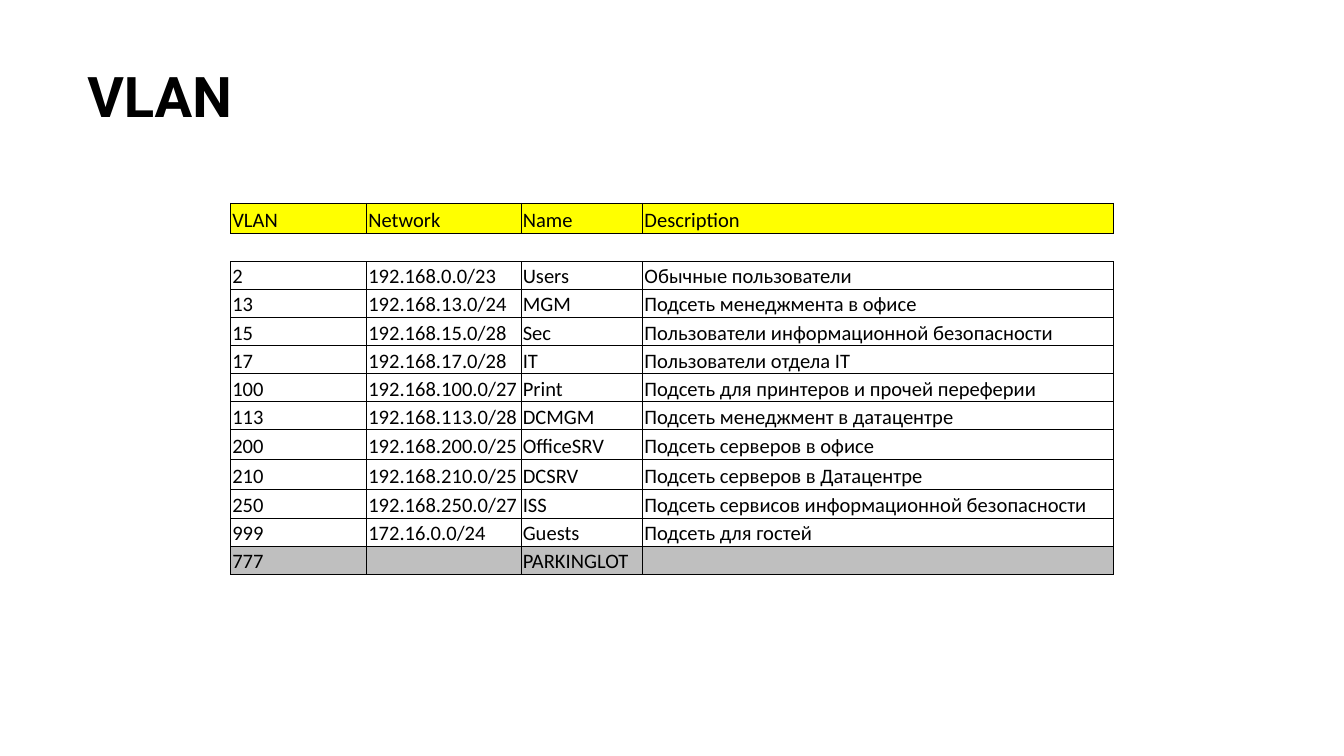
"""Build a slide that lists the VLANs of a network in a table."""
from dataclasses import dataclass

from lxml import etree
from pptx import Presentation
from pptx.dml.color import RGBColor
from pptx.enum.text import MSO_ANCHOR
from pptx.oxml.ns import qn
from pptx.util import Cm, Pt

TOP, BOTTOM = MSO_ANCHOR.TOP, MSO_ANCHOR.BOTTOM


@dataclass(frozen=True)
class Theme:
    ink: str = "000000"
    header: str = "FFFF00"
    parking: str = "BFBFBF"
    title_font: str = "Roboto"
    table_font: str = "Calibri"
    title_size: int = 30
    table_size: int = 11
    border: float = 0.5


def apply_format(target, values):
    for name, value in values.items():
        setattr(target, name, value)


def add_border(cell, side, visible):
    properties = cell._tc.get_or_add_tcPr()
    line = etree.SubElement(properties, qn(f"a:ln{side}"), w=str(Pt(theme.border)))
    if visible:
        fill = etree.SubElement(line, qn("a:solidFill"))
        etree.SubElement(fill, qn("a:srgbClr"), val=theme.ink)
    else:
        etree.SubElement(line, qn("a:noFill"))


theme = Theme()
ink = RGBColor.from_string(theme.ink)

rows = [
    ("VLAN", "Network", "Name", "Description"),
    ("", "", "", ""),
    ("2", "192.168.0.0/23", "Users", "Обычные пользователи"),
    ("13", "192.168.13.0/24", "MGM", "Подсеть менеджмента в офисе"),
    ("15", "192.168.15.0/28", "Sec", "Пользователи информационной безопасности"),
    ("17", "192.168.17.0/28", "IT", "Пользователи отдела IT"),
    ("100", "192.168.100.0/27", "Print", "Подсеть для принтеров и прочей переферии"),
    ("113", "192.168.113.0/28", "DCMGM", "Подсеть менеджмент в датацентре"),
    ("200", "192.168.200.0/25", "OfficeSRV", "Подсеть серверов в офисе"),
    ("210", "192.168.210.0/25", "DCSRV", "Подсеть серверов в Датацентре"),
    ("250", "192.168.250.0/27", "ISS", "Подсеть сервисов информационной безопасности"),
    ("999", "172.16.0.0/24", "Guests", "Подсеть для гостей"),
    ("777", "", "PARKINGLOT", ""),
]
column_widths = [2.57, 2.92, 2.3, 8.89]
row_height = 0.53
tall_rows = {0: 0.57, 8: 0.55, 9: 0.57, 10: 0.55}
row_fills = {0: theme.header, len(rows) - 1: theme.parking}
gap_row = 1

deck = Presentation()
apply_format(deck, {"slide_width": Cm(25.4), "slide_height": Cm(14.28)})
slide = deck.slides.add_slide(deck.slide_layouts[6])

title_box = slide.shapes.add_textbox(Cm(1.4), Cm(0.91), Cm(23.67), Cm(1.68))
title_frame = title_box.text_frame
title_format = {"word_wrap": True, "vertical_anchor": TOP}
title_format.update({f"margin_{side}": Cm(0.25) for side in ("left", "right", "top", "bottom")})
apply_format(title_frame, title_format)
title_span = title_frame.paragraphs[0].add_run()
title_span.text = "VLAN"
apply_format(title_span.font, {"name": theme.title_font, "size": Pt(theme.title_size), "bold": True})
title_span.font.color.rgb = ink

heights = [tall_rows.get(index, row_height) for index in range(len(rows))]
table = slide.shapes.add_table(
    len(rows), len(column_widths), Cm(4.36), Cm(3.84), Cm(sum(column_widths)), Cm(sum(heights))
).table
apply_format(table, {"first_row": False, "horz_banding": False})
for column, width in zip(table.columns, column_widths):
    column.width = Cm(width)

cell_format = {
    "vertical_anchor": BOTTOM,
    "margin_left": Cm(0.03),
    "margin_right": Cm(0.03),
    "margin_top": Cm(0.03),
    "margin_bottom": 0,
}
for row_index, (row, texts) in enumerate(zip(table.rows, rows)):
    row.height = Cm(heights[row_index])
    for cell, text in zip(row.cells, texts):
        apply_format(cell, cell_format)
        for side in "LRTB":
            add_border(cell, side, row_index != gap_row or side in "TB")
        if row_index in row_fills:
            cell.fill.solid()
            cell.fill.fore_color.rgb = RGBColor.from_string(row_fills[row_index])
        else:
            cell.fill.background()
        para = cell.text_frame.paragraphs[0]
        if text:
            span = para.add_run()
            span.text = text
            apply_format(span.font, {"name": theme.table_font, "size": Pt(theme.table_size)})
            span.font.color.rgb = ink
        else:
            etree.SubElement(para._p, qn("a:endParaRPr"), sz=str(theme.table_size * 100))

table.cell(gap_row, 0).merge(table.cell(gap_row, len(column_widths) - 1))

deck.save("out.pptx")
